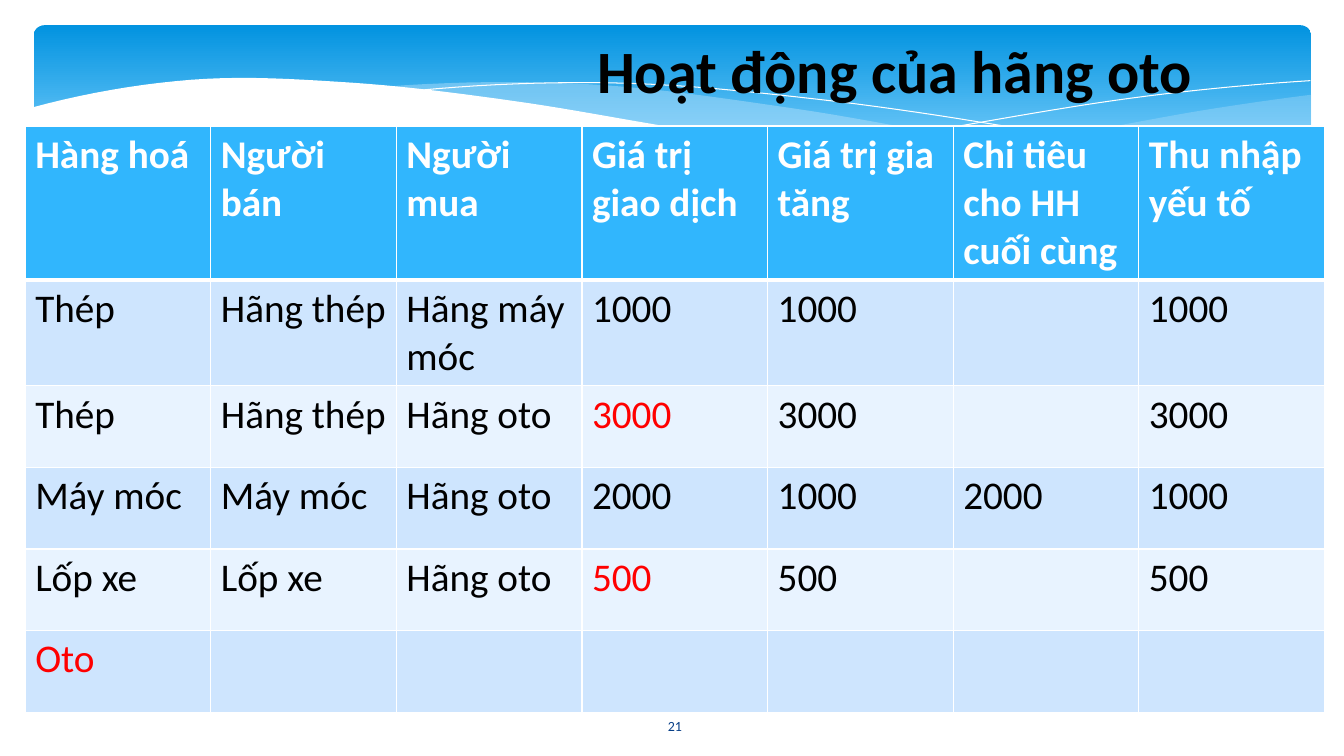
"""Build the slide on the activity of a car maker, with its table of transactions."""
from dataclasses import dataclass
from typing import Any, Optional

import pptx
import pptx.dml.color
import pptx.enum.shapes
import pptx.enum.text
import pptx.oxml
import pptx.oxml.ns
import pptx.util

Pt = pptx.util.Pt
RGBColor = pptx.dml.color.RGBColor
Align = pptx.enum.text.PP_ALIGN
Anchor = pptx.enum.text.MSO_ANCHOR

WHITE = RGBColor(0xFF, 0xFF, 0xFF)
BLACK = RGBColor(0x00, 0x00, 0x00)
RED = RGBColor(0xFF, 0x00, 0x00)
NAVY = RGBColor(0x07, 0x3E, 0x87)
BANNER_TOP = RGBColor(0x02, 0x93, 0xE0)
BANNER_BOTTOM = RGBColor(0x83, 0xD3, 0xFE)
WAVE_BLUE = RGBColor(0xC6, 0xE7, 0xFC)
HEADER_BLUE = RGBColor(0x31, 0xB6, 0xFD)
BANDS = (RGBColor(0xE8, 0xF3, 0xFF), RGBColor(0xCE, 0xE5, 0xFE))

ROWS = (
    ("Hàng hoá", "Người bán", "Người mua", "Giá trị giao dịch", "Giá trị gia tăng",
     "Chi tiêu cho HH cuối cùng", "Thu nhập yếu tố"),
    ("Thép", "Hãng thép", "Hãng máy móc", "1000", "1000", "", "1000"),
    ("Thép", "Hãng thép", "Hãng oto", "3000", "3000", "", "3000"),
    ("Máy móc", "Máy móc", "Hãng oto", "2000", "1000", "2000", "1000"),
    ("Lốp xe", "Lốp xe", "Hãng oto", "500", "500", "", "500"),
    ("Oto", "", "", "", "", "", ""),
)
RED_CELLS = {(2, 3), (4, 3), (5, 0)}
COLUMN_WIDTH, ROW_HEIGHT = 132.6, 58.3
CURVE_STEPS = 10
UNITS_PER_POINT = 100


@dataclass(frozen=True)
class Edge:
    """A smooth curve through heights spaced equally from start to end."""
    start: float
    end: float
    heights: tuple[float, ...]

    def points(self) -> list[tuple[float, float]]:
        """Join the heights with a Catmull-Rom spline."""
        knots = self.heights
        before = 3 * knots[0] - 3 * knots[1] + knots[2]
        after = 3 * knots[-1] - 3 * knots[-2] + knots[-3]
        padded = (before, *knots, after)
        total = (len(knots) - 1) * CURVE_STEPS
        curve = []
        for step in range(total):
            span, part = divmod(step, CURVE_STEPS)
            height = spline(padded[span:span + 4], part / CURVE_STEPS)
            curve.append((self.start + (self.end - self.start) * step / total, height))
        return curve + [(self.end, knots[-1])]


@dataclass(frozen=True)
class Wave:
    """Edges drawn in turn: a closed filled area, or an open white line."""
    edges: tuple[Edge, ...]
    fill: Optional[RGBColor] = None
    opacity: int = 100


RIGHT_SWELL = Wave((Edge(936.7, 635, (67.7, 78.5, 92, 104.8, 115.2)),
                    Edge(635, 936.7, (115.2, 121.4, 123.8, 118.6, 102.2))),
                   WAVE_BLUE, 29)
MIDDLE_SWELL = Wave((Edge(275, 856.8, (61.9, 60.2, 77.3, 102, 120.2)),
                     Edge(856.8, 275, (120.2, 122.2, 106.2, 81.7, 61.9))),
                    WAVE_BLUE, 40)
FALLING_LINE = Wave((Edge(296.6, 871.2, (64.8, 59.3, 70.9, 91.8, 119.5)),))
RISING_LINE = Wave((Edge(589, 936, (108.7, 86.6, 68.5, 57.6)),))
WHITE_FRONT = Wave((Edge(22.3, 938.2, (77, 57, 59.1, 72, 91, 109.3, 121, 120.6, 101)),
                    Edge(938.2, 22.3, (161.3, 161.3, 161.3))),
                   WHITE)
WAVES = (RIGHT_SWELL, MIDDLE_SWELL, FALLING_LINE, RISING_LINE, WHITE_FRONT)


def spline(knots: tuple[float, ...], part: float) -> float:
    """Return the Catmull-Rom height between the two middle knots."""
    first, left, right, last = knots
    slope = right - first
    bend = 2 * first - 5 * left + 4 * right - last
    twist = 3 * left - first - 3 * right + last
    return left + (slope * part + bend * part ** 2 + twist * part ** 3) / 2


def set_values(target: Any, values: dict[str, Any]) -> None:
    """Set each named attribute of the target."""
    for name, value in values.items():
        setattr(target, name, value)


def write_text(frame: Any, text: str, color: RGBColor, size: float,
               bold: bool = False, align: Any = Align.LEFT) -> None:
    """Write one formatted span into the first paragraph."""
    para = frame.paragraphs[0]
    para.alignment = align
    span = para.add_run()
    span.text = text
    set_values(span.font, {"name": "Calibri", "size": Pt(size), "bold": bold})
    span.font.color.rgb = color


def draw_banner(page: Any) -> None:
    """Draw the rounded gradient banner."""
    banner = page.shapes.add_shape(pptx.enum.shapes.MSO_SHAPE.ROUNDED_RECTANGLE,
                                   Pt(24), Pt(18), Pt(912.7), Pt(112.3))
    banner.adjustments[0] = 0.07
    banner.shadow.inherit = False
    banner.line.fill.background()
    banner.fill.gradient()
    banner.fill.gradient_angle = 270
    stops = banner.fill.gradient_stops
    for stop, place, color in zip(stops, (0, 0.9), (BANNER_TOP, BANNER_BOTTOM)):
        stop.position = place
        stop.color.rgb = color


def draw_wave(page: Any, wave: Wave) -> None:
    """Draw a wave as a filled area or as a thin white line."""
    outline = [(x * UNITS_PER_POINT, y * UNITS_PER_POINT)
               for edge in wave.edges for x, y in edge.points()]
    builder = page.shapes.build_freeform(*outline[0], scale=Pt(1) / UNITS_PER_POINT)
    builder.add_line_segments(outline[1:], close=wave.fill is not None)
    shape = builder.convert_to_shape()
    shape.shadow.inherit = False
    if wave.fill is None:
        shape.fill.background()
        shape.line.color.rgb = WHITE
        shape.line.width = Pt(0)
        return
    shape.line.fill.background()
    shape.fill.solid()
    shape.fill.fore_color.rgb = wave.fill
    if wave.opacity < 100:
        color = shape.element.spPr.find(".//" + pptx.oxml.ns.qn("a:srgbClr"))
        color.append(pptx.oxml.parse_xml(
            f'<a:alpha {pptx.oxml.ns.nsdecls("a")} val="{wave.opacity * 1000}"/>'))


def set_borders(cell: Any, row: int) -> None:
    """Give a cell white borders, thick between header and body."""
    widths = {"lnL": 1, "lnR": 1, "lnT": 3 if row == 1 else 1, "lnB": 3 if row == 0 else 1}
    properties = cell._tc.get_or_add_tcPr()
    for side, width in widths.items():
        properties.append(pptx.oxml.parse_xml(
            f'<a:{side} {pptx.oxml.ns.nsdecls("a")} w="{Pt(width)}"><a:solidFill>'
            f'<a:srgbClr val="{WHITE}"/></a:solidFill></a:{side}>'))


def draw_table(page: Any) -> None:
    """Draw the banded table of transactions."""
    count = len(ROWS[0])
    table = page.shapes.add_table(len(ROWS), count, Pt(18), Pt(90), Pt(COLUMN_WIDTH * count),
                                  Pt(ROW_HEIGHT * len(ROWS))).table
    for column in table.columns:
        column.width = Pt(COLUMN_WIDTH)
    for row, texts in enumerate(ROWS):
        table.rows[row].height = Pt(ROW_HEIGHT)
        header = row == 0
        for column, text in enumerate(texts):
            cell = table.cell(row, column)
            set_borders(cell, row)
            cell.fill.solid()
            cell.fill.fore_color.rgb = HEADER_BLUE if header else BANDS[row % 2]
            if text:
                plain = WHITE if header else BLACK
                color = RED if (row, column) in RED_CELLS else plain
                write_text(cell.text_frame, text, color, 28, header)


def draw_title(page: Any) -> None:
    """Place the title in front of the banner."""
    title = page.shapes.title
    set_values(title, {"left": Pt(293.8), "top": Pt(20.2),
                       "width": Pt(690.5), "height": Pt(118.8)})
    set_values(title.text_frame, {"word_wrap": True, "vertical_anchor": Anchor.TOP,
                                  "auto_size": pptx.enum.text.MSO_AUTO_SIZE.NONE})
    write_text(title.text_frame, "Hoạt động của hãng oto", BLACK, 42.9, True, Align.CENTER)
    title.element.getparent().append(title.element)


def main() -> None:
    """Build and save the deck."""
    deck = pptx.Presentation()
    set_values(deck, {"slide_width": Pt(960), "slide_height": Pt(540)})
    page = deck.slides.add_slide(deck.slide_layouts[5])
    draw_banner(page)
    for wave in WAVES:
        draw_wave(page, wave)
    number = page.shapes.add_textbox(Pt(421.2), Pt(504), Pt(121.7), Pt(28.8)).text_frame
    set_values(number, {"word_wrap": True, "vertical_anchor": Anchor.MIDDLE})
    write_text(number, "21", NAVY, 10, align=Align.CENTER)
    draw_title(page)
    draw_table(page)
    deck.save("out.pptx")


if __name__ == "__main__":
    main()
